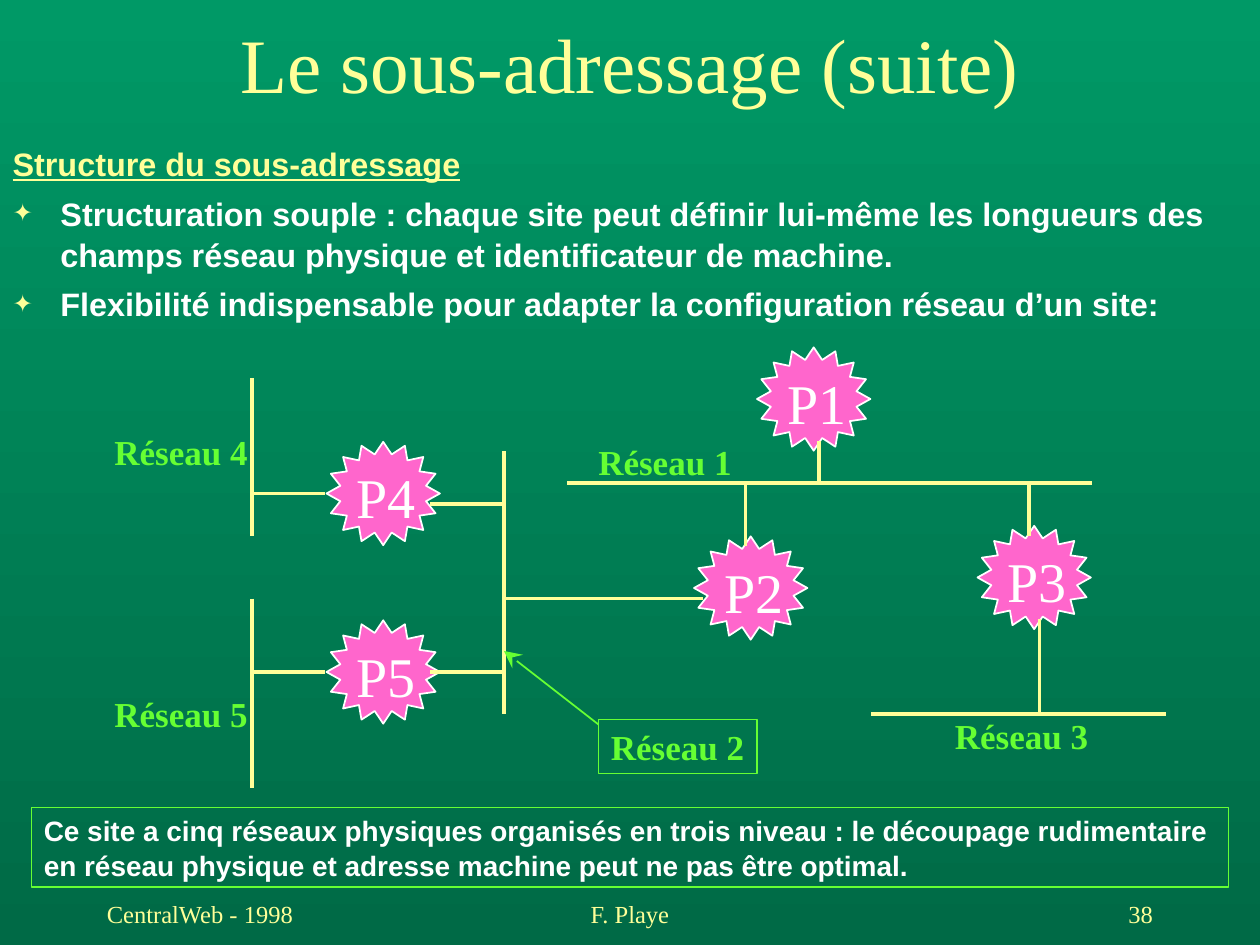
from lxml.etree import SubElement
from pptx import Presentation
from pptx.dml.color import RGBColor
from pptx.enum.shapes import MSO_CONNECTOR, MSO_SHAPE
from pptx.enum.text import MSO_ANCHOR, MSO_AUTO_SIZE, PP_ALIGN
from pptx.oxml.ns import qn
from pptx.util import Inches, Pt

C = {k: RGBColor.from_string(v) for k, v in {
    "top": "009966", "bottom": "006A46", "yellow": "FFFF99",
    "white": "FFFFFF", "green": "66FF33", "pink": "FF66CC"}.items()}
SERIF, SANS = "Times New Roman", "Arial"

prs = Presentation()
prs.slide_width, prs.slide_height = Inches(10), Inches(7.5)
COL, ROW = prs.slide_width / 120, prs.slide_height / 90
s = prs.slides.add_slide(prs.slide_layouts[1])
bg = s.background.fill
bg.gradient()
bg.gradient_angle = 270
for stop, name, pos in zip(bg.gradient_stops, ("top", "bottom"), (0, 1)):
    stop.color.rgb = C[name]
    stop.position = pos


def write(sp, text, size, font, color, bold=False, align=PP_ALIGN.LEFT,
          anchor=MSO_ANCHOR.TOP, wrap=True):
    tf = sp.text_frame
    tf.text = text
    tf.word_wrap = wrap
    tf.auto_size = MSO_AUTO_SIZE.NONE
    tf.vertical_anchor = anchor
    for p in tf.paragraphs:
        p.alignment = align
        for r in p.runs:
            r.font.size, r.font.name, r.font.bold = Pt(size), font, bold
            r.font.color.rgb = C[color]
    return tf


def link(x1, y1, x2, y2, color="yellow", width=2):
    cx = s.shapes.add_connector(MSO_CONNECTOR.STRAIGHT, int(x1 * COL), int(y1 * ROW),
                                int(x2 * COL), int(y2 * ROW))
    cx.line.color.rgb = C[color]
    cx.line.width = Pt(width)
    SubElement(cx._element.spPr, qn("a:effectLst"))
    return cx


title = s.shapes.title
title.left, title.top, title.width, title.height = 0, Inches(0.15), prs.slide_width, Inches(0.69)
write(title, "Le sous-adressage (suite)", 44, SERIF, "yellow",
      align=PP_ALIGN.CENTER, anchor=MSO_ANCHOR.MIDDLE)

body = s.placeholders[1]
body.left, body.top, body.width, body.height = 0, Inches(1.08), Inches(9.92), Inches(1.67)
tf = write(body, "Structure du sous-adressage\n"
           "Structuration souple : chaque site peut définir lui-même les longueurs des "
           "champs réseau physique et identificateur de machine.\n"
           "Flexibilité indispensable pour adapter la configuration réseau d’un site:",
           18.5, SANS, "white", True)
for i, p in enumerate(tf.paragraphs):
    pPr = p._p.get_or_add_pPr()
    pPr.set("marL", str(Inches(0.38)))
    pPr.set("indent", str(Inches(-0.38)))
    if i:
        SubElement(SubElement(pPr, qn("a:buClr")), qn("a:srgbClr"), val=str(C["yellow"]))
        SubElement(pPr, qn("a:buSzPct"), val="75000")
        SubElement(pPr, qn("a:buChar"), char="✦")
    else:
        SubElement(pPr, qn("a:buNone"))
    p.space_before = Pt(5 if i else 0)
    p.line_spacing = 1.05
heading = tf.paragraphs[0].runs[0].font
heading.underline = True
heading.color.rgb = C["yellow"]

W, H = 10.8, 9.84
for name, x, y in [("P1", 77.5, 38), ("P2", 71.5, 56), ("P3", 98.5, 55),
                   ("P4", 36.5, 47), ("P5", 36.5, 64)]:
    sp = s.shapes.add_shape(MSO_SHAPE.STAR_16_POINT, int((x - W / 2) * COL),
                            int((y - H / 2) * ROW), int(W * COL), int(H * ROW))
    sp.adjustments[0] = 0.385
    sp.shadow.inherit = False
    sp.fill.solid()
    sp.fill.fore_color.rgb = C["pink"]
    sp.line.color.rgb = C["white"]
    sp.line.width = Pt(1)
    tf = write(sp, name, 32, SERIF, "white", align=PP_ALIGN.CENTER,
               anchor=MSO_ANCHOR.MIDDLE, wrap=False)
    tf.margin_left = tf.margin_top = Inches(0.05)
    tf.margin_right = tf.margin_bottom = 0

for ends in [(54, 46, 104, 46), (48, 43, 48, 68), (83, 68, 111, 68),
             (24, 36, 24, 51), (24, 57, 24, 75),
             (78, 42, 78, 46), (71, 46, 71, 52), (98, 46, 98, 51),
             (99, 59, 99, 68), (48, 57, 67, 57),
             (24, 47, 31, 47), (41, 48, 48, 48),
             (24, 64, 31, 64), (41, 64, 48, 64)]:
    link(*ends)

for name, x, y in [("Réseau 1", 55.8, 41.4), ("Réseau 3", 89.76, 67.44),
                   ("Réseau 4", 9.72, 40.44), ("Réseau 5", 9.72, 65.4)]:
    sp = s.shapes.add_textbox(int(x * COL), int(y * ROW), Inches(1.26), Inches(0.43))
    write(sp, name, 20, SERIF, "green", True, wrap=False)

for text, size, font, color, x, y, w, h in [
        ("Réseau 2", 20, SERIF, "green", 4.75, 5.71, 1.26, 0.43),
        ("Ce site a cinq réseaux physiques organisés en trois niveau : le découpage rudimentaire\n"
         "en réseau physique et adresse machine peut ne pas être optimal.",
         16, SANS, "white", 0.25, 6.41, 9.5, 0.63)]:
    sp = s.shapes.add_shape(MSO_SHAPE.RECTANGLE, Inches(x), Inches(y), Inches(w), Inches(h))
    sp.shadow.inherit = False
    sp.fill.background()
    sp.line.color.rgb = C["green"]
    sp.line.width = Pt(1)
    tf = write(sp, text, size, font, color, True, wrap=False)
    for p in tf.paragraphs[1:]:
        p.line_spacing = 1.05

arrow = link(57, 69, 48, 62, "green", 1)
SubElement(arrow.line._get_or_add_ln(), qn("a:tailEnd"), type="stealth", w="lg", len="lg")

for text, x, w, align in [("CentralWeb - 1998", 9, 25, PP_ALIGN.LEFT),
                          ("F. Playe", 41, 38, PP_ALIGN.CENTER),
                          ("38", 86, 25, PP_ALIGN.RIGHT)]:
    sp = s.shapes.add_textbox(int(x * COL), int(84 * ROW), int(w * COL), int(6 * ROW))
    write(sp, text, 14, SERIF, "yellow", align=align, anchor=MSO_ANCHOR.MIDDLE)

prs.save("out.pptx")
